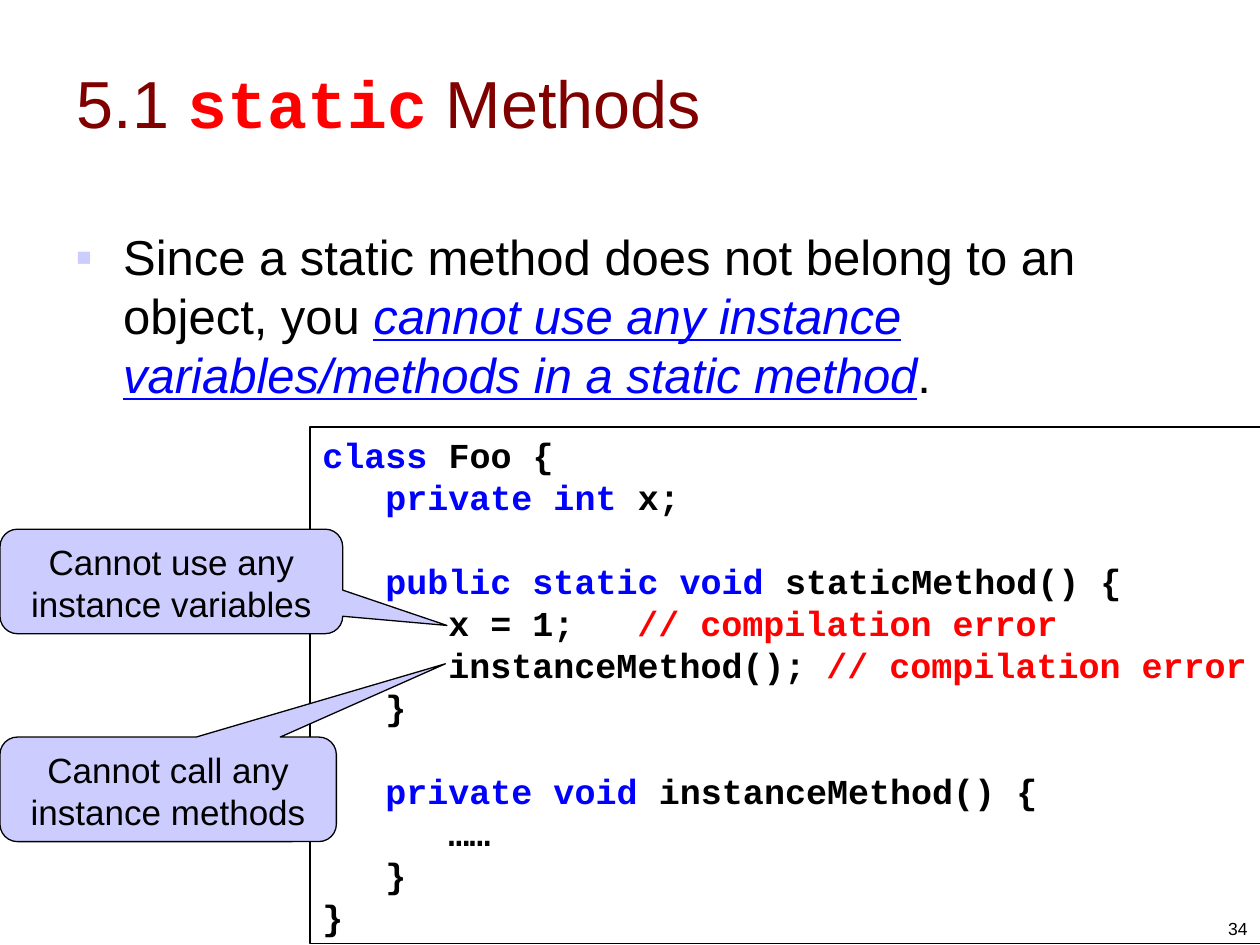
from lxml.etree import SubElement
from pptx import Presentation
from pptx.dml.color import RGBColor
from pptx.enum.shapes import MSO_SHAPE as Shape
from pptx.enum.text import MSO_ANCHOR as Anchor, PP_ALIGN as Align
from pptx.oxml.ns import qn
from pptx.util import Inches, Pt

WIDTH, HEIGHT = 10, 7.5
SANS, MONO = "Arial", "Courier New"
BLACK, BLUE, RED, MAROON, LILAC = "000000", "0000FF", "FF0000", "800000", "CCCCFF"
CODE_STEP, COMMENT_TAB = 0.5, 4
ERROR = ("// compilation error", RED)
CODE = [
    (0, 0, [("class", BLUE), (" Foo {", BLACK)]),
    (1, 0, [("private int", BLUE), (" x;", BLACK)]),
    (1, 1, [("public static void", BLUE), (" staticMethod() {", BLACK)]),
    (2, 0, [("x = 1;\t", BLACK), ERROR]),
    (2, 0, [("instanceMethod();\t", BLACK), ERROR]),
    (1, 0, [("}", BLACK)]),
    (1, 1, [("private void", BLUE), (" instanceMethod() {", BLACK)]),
    (2, 0, [("……", BLACK)]),
    (1, 0, [("}", BLACK)]),
    (0, 0, [("}", BLACK)]),
]


def color(code):
    return RGBColor.from_string(code)


def inches(box):
    return [Inches(length) for length in box]


def write(paragraph, text, size=20, font=SANS, ink=BLACK, bold=False, italic=False, underline=False):
    run = paragraph.add_run()
    run.text = text
    style = run.font
    style.size, style.name = Pt(size), font
    style.bold, style.italic, style.underline = bold, italic, underline
    style.color.rgb = color(ink)


def prepare(frame, anchor=Anchor.TOP, align=Align.LEFT):
    frame.word_wrap = True
    frame.vertical_anchor = anchor
    frame.margin_left = frame.margin_right = Inches(0.1)
    frame.margin_top = frame.margin_bottom = Inches(0.05)
    paragraph = frame.paragraphs[0]
    paragraph.alignment = align
    return paragraph


def indent(paragraph, left, first=0):
    properties = paragraph._p.get_or_add_pPr()
    properties.set("marL", str(Inches(left)))
    properties.set("indent", str(Inches(first)))
    return properties


def outlined(slide, kind, box, fill=None):
    panel = slide.shapes.add_shape(kind, *inches(box))
    panel.shadow.inherit = False
    if fill:
        panel.fill.solid()
        panel.fill.fore_color.rgb = color(fill)
    else:
        panel.fill.background()
    panel.line.color.rgb = color(BLACK)
    panel.line.width = Pt(0.75)
    return panel


def heading(slide, box):
    title = slide.shapes.title
    title.left, title.top, title.width, title.height = inches(box)
    line = prepare(title.text_frame, Anchor.MIDDLE)
    write(line, "5.1 ", size=38, ink=MAROON)
    write(line, "static", size=38, font=MONO, ink=RED, bold=True)
    write(line, " Methods", size=38, ink=MAROON)


def statement(slide, box):
    rule = prepare(slide.shapes.add_textbox(*inches(box)).text_frame)
    rule.space_before, rule.line_spacing = Pt(7), Pt(33.7)
    properties = indent(rule, 0.38, -0.38)
    SubElement(SubElement(properties, qn("a:buClr")), qn("a:srgbClr"), val=LILAC)
    SubElement(properties, qn("a:buFont"), typeface=SANS)
    SubElement(properties, qn("a:buChar"), char="▪")
    write(rule, "Since a static method does not belong to an object, you ", size=28)
    write(rule, "cannot use any instance variables/methods in a static method",
          size=28, ink=BLUE, italic=True, underline=True)
    write(rule, ".", size=28)


def listing(slide, box):
    frame = outlined(slide, Shape.RECTANGLE, box).text_frame
    line = prepare(frame)
    frame.margin_right = 0
    for number, (level, gap, parts) in enumerate(CODE):
        if number:
            line = frame.add_paragraph()
        line.alignment = Align.LEFT
        line.line_spacing, line.space_before = Pt(24), Pt(24 * gap)
        properties = indent(line, level * CODE_STEP)
        tabs = SubElement(properties, qn("a:tabLst"))
        SubElement(tabs, qn("a:tab"), pos=str(Inches(COMMENT_TAB)), algn="l")
        for text, ink in parts:
            write(line, text, font=MONO, ink=ink, bold=True)


def callout(slide, box, text, tip):
    bubble = outlined(slide, Shape.ROUNDED_RECTANGULAR_CALLOUT, box, LILAC)
    bubble.adjustments[0], bubble.adjustments[1] = tip
    bubble.adjustments[2] = 0.167
    note = prepare(bubble.text_frame, align=Align.CENTER)
    note.line_spacing = Pt(24)
    write(note, text)


def page_number(slide, box):
    corner = slide.shapes.add_textbox(*inches(box)).text_frame
    write(prepare(corner, Anchor.BOTTOM, Align.RIGHT), "34", size=10)


def main():
    deck = Presentation()
    deck.slide_width, deck.slide_height = Inches(WIDTH), Inches(HEIGHT)
    slide = deck.slides.add_slide(deck.slide_layouts[5])
    heading(slide, (0.51, 0.18, 0.9 * WIDTH, HEIGHT / 6))
    statement(slide, (0.05 * WIDTH, 1.75, 0.9 * WIDTH, 0.66 * HEIGHT))
    listing(slide, (2.46, 3.39, 7.55, 4.1))
    callout(slide, (0, 0.56 * HEIGHT, 2.72, 0.83),
            "Cannot use any instance variables", (0.804, 0.421))
    callout(slide, (0, 0.78 * HEIGHT, 2.67, 0.83),
            "Cannot call any instance methods", (0.824, -1.201))
    page_number(slide, (7.67, 7, 2.33, 0.5))
    deck.save("out.pptx")


if __name__ == "__main__":
    main()
